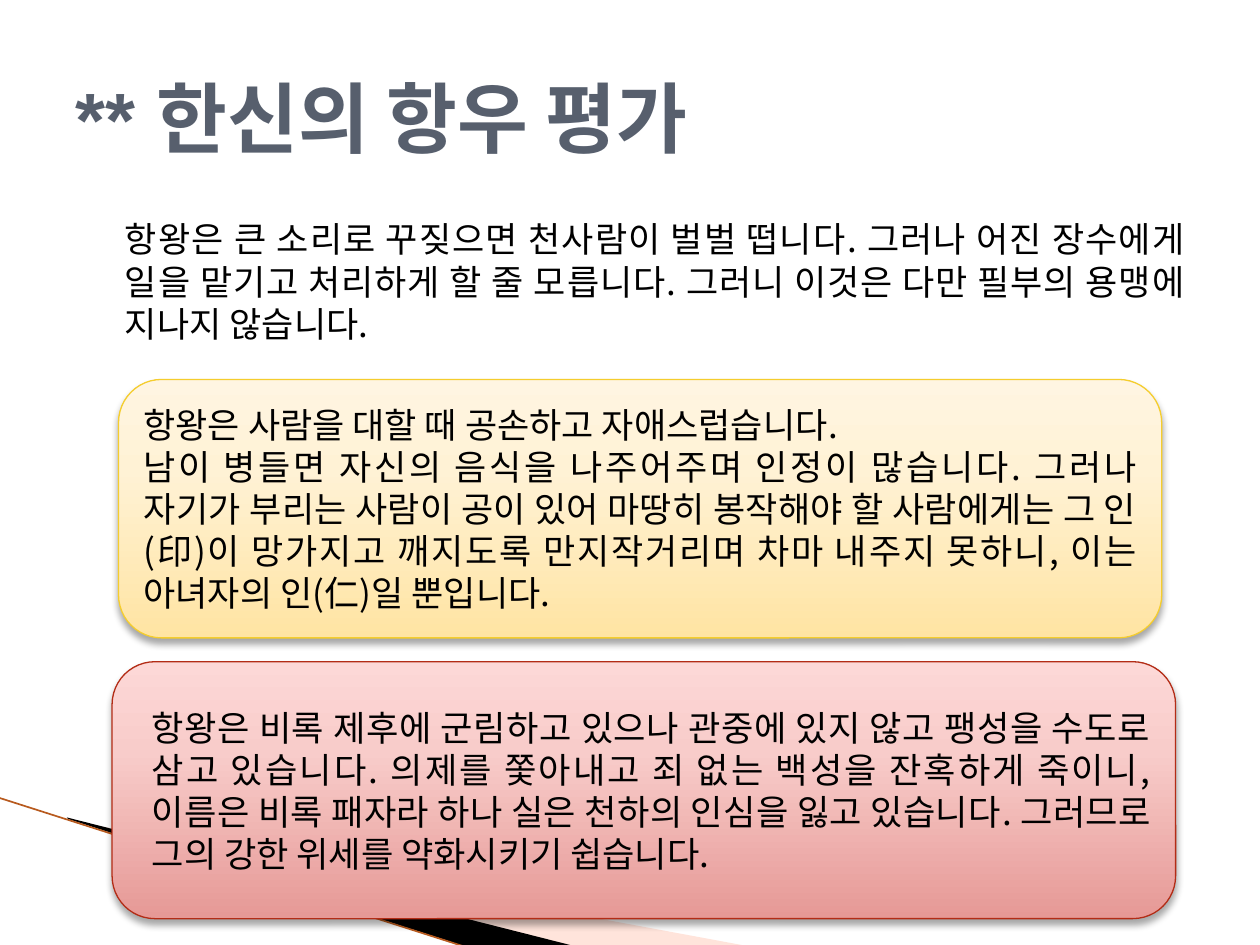
from lxml import etree
from pptx import Presentation
from pptx import util as u
from pptx.dml.color import RGBColor
from pptx.enum import shapes, text
from pptx.oxml import parse_xml
from pptx.oxml.ns import nsdecls, qn

# Content; all positions in centimetres: left, top, width, height
KOREAN_FONT = "Noto Sans CJK KR"
TITLE = "** 한신의 항우 평가"
TITLE_AT = (1.27, 0.76, 22.86, 3.18)
INTRO = ["항왕은 큰 소리로 꾸짖으면 천사람이 벌벌 떱니다. 그러나 어진 장수에게 일을 맡기고 "
         "처리하게 할 줄 모릅니다. 그러니 이것은 다만 필부의 용맹에 지나지 않습니다."]
INTRO_AT = (1.27, 4.27, 22.86, 2.8)
CARDS = [
    dict(at=(2.39, 7.65, 21.03, 5.21), line="F5CD2D", size=20, indent=0,
         stops=[(0, "FFE4A3"), (65, "FFF2D5"), (100, "FFF5E2")],
         lines=["항왕은 사람을 대할 때 공손하고 자애스럽습니다.",
                "남이 병들면 자신의 음식을 나주어주며 인정이 많습니다. 그러나 자기가 부리는 사람이 "
                "공이 있어 마땅히 봉작해야 할 사람에게는 그 인(印)이 망가지고 깨지도록 "
                "만지작거리며 차마 내주지 못하니, 이는 아녀자의 인(仁)일 뿐입니다."]),
    dict(at=(2.26, 13.34, 21.44, 5.18), line="B32C16", size=20.1, indent=0.3,
         stops=[(0, "E69996"), (65, "F8CCCA"), (100, "FDD8D7")],
         lines=["항왕은 비록 제후에 군림하고 있으나 관중에 있지 않고 팽성을 수도로 삼고 있습니다. "
                "의제를 쫓아내고 죄 없는 백성을 잔혹하게 죽이니, 이름은 비록 패자라 하나 실은 "
                "천하의 인심을 잃고 있습니다. 그러므로 그의 강한 위세를 약화시키기 쉽습니다."]),
]
# Corner wedges: points, colour, opacity in percent
WEDGES = [
    ([(1.4, 16.54), (15.11, 19.08), (11.58, 19.08), (1.4, 16.51)], "FFBCA5", 40),
    ([(1.35, 16.48), (11.61, 19.08), (9.45, 19.1), (1.37, 16.51)], "000000", 100),
]
EDGE = (-0.03, 16.08, 9.42, 19.1)


def color(value):
    return RGBColor.from_string(value)


def cm(values):
    return [u.Cm(value) for value in values]


def write(shape, lines, size, font, hue="000000", bold=False, indent=0, justify=True):
    frame = shape.text_frame
    frame.word_wrap = True
    frame.text = "\n".join(lines)
    for paragraph in frame.paragraphs:
        paragraph.alignment = text.PP_ALIGN.JUSTIFY if justify else text.PP_ALIGN.LEFT
        if justify:
            paragraph.line_spacing = u.Pt(24)
        paragraph._p.get_or_add_pPr().set("marL", str(u.Cm(indent)))
        paragraph.font.size = u.Pt(size)
        paragraph.font.bold = bold
        paragraph.font.color.rgb = color(hue)
        paragraph.font.name = font
        # Hangul takes its own East Asian typeface
        for run in paragraph.runs:
            run.font.name = font
            east_asian = etree.SubElement(run._r.get_or_add_rPr(), qn("a:ea"))
            east_asian.set("typeface", KOREAN_FONT)


def add_wedge(slide, points, hue, opacity):
    scaled = [(round(x * 100), round(y * 100)) for x, y in points]
    builder = slide.shapes.build_freeform(*scaled[0], scale=u.Cm(0.01))
    builder.add_line_segments(scaled[1:], close=True)
    wedge = builder.convert_to_shape()
    wedge.shadow.inherit = False
    wedge.fill.solid()
    wedge.fill.fore_color.rgb = color(hue)
    wedge.line.fill.background()
    if opacity < 100:
        fill = wedge._element.spPr.find(qn("a:solidFill"))
        etree.SubElement(fill[0], qn("a:alpha")).set("val", str(opacity * 1000))


def add_card(slide, card):
    shape = slide.shapes.add_shape(shapes.MSO_SHAPE.ROUNDED_RECTANGLE, *cm(card["at"]))
    shape.line.color.rgb = color(card["line"])
    shape.line.width = u.Pt(0.75)
    properties = shape._element.spPr
    # Three-stop gradient, running upwards
    stops = "".join(f'<a:gs pos="{position * 1000}"><a:srgbClr val="{hue}"/></a:gs>'
                    for position, hue in card["stops"])
    properties.find(qn("a:prstGeom")).addnext(parse_xml(
        f'<a:gradFill {nsdecls("a")} rotWithShape="1"><a:gsLst>{stops}</a:gsLst>'
        '<a:lin ang="16200000" scaled="0"/></a:gradFill>'))
    # Soft shadow below
    properties.append(parse_xml(
        f'<a:effectLst {nsdecls("a")}><a:outerShdw blurRad="{u.Pt(4)}" dist="{u.Pt(3)}" '
        'dir="5400000" rotWithShape="0"><a:srgbClr val="000000"><a:alpha val="35000"/>'
        '</a:srgbClr></a:outerShdw></a:effectLst>'))
    shape.text_frame.vertical_anchor = text.MSO_ANCHOR.MIDDLE
    write(shape, card["lines"], card["size"], KOREAN_FONT, indent=card["indent"])


def main():
    presentation = Presentation()
    presentation.slide_width, presentation.slide_height = cm((25.4, 19.05))
    slide = presentation.slides.add_slide(presentation.slide_layouts[6])

    # Corner decoration
    for wedge in WEDGES:
        add_wedge(slide, *wedge)
    edge = slide.shapes.add_connector(shapes.MSO_CONNECTOR.STRAIGHT, *cm(EDGE))
    edge.line.color.rgb = color("B85A1E")
    edge.line.width = u.Pt(0.95)
    etree.SubElement(edge._element.spPr, qn("a:effectLst"))

    # Title and introduction
    title = slide.shapes.add_textbox(*cm(TITLE_AT))
    title.text_frame.vertical_anchor = text.MSO_ANCHOR.MIDDLE
    write(title, [TITLE], 44, "Arial", "575F6D", bold=True, justify=False)
    write(slide.shapes.add_textbox(*cm(INTRO_AT)), INTRO, 20, KOREAN_FONT, indent=1)

    # Cards
    for card in CARDS:
        add_card(slide, card)
    presentation.save("out.pptx")


if __name__ == "__main__":
    main()
